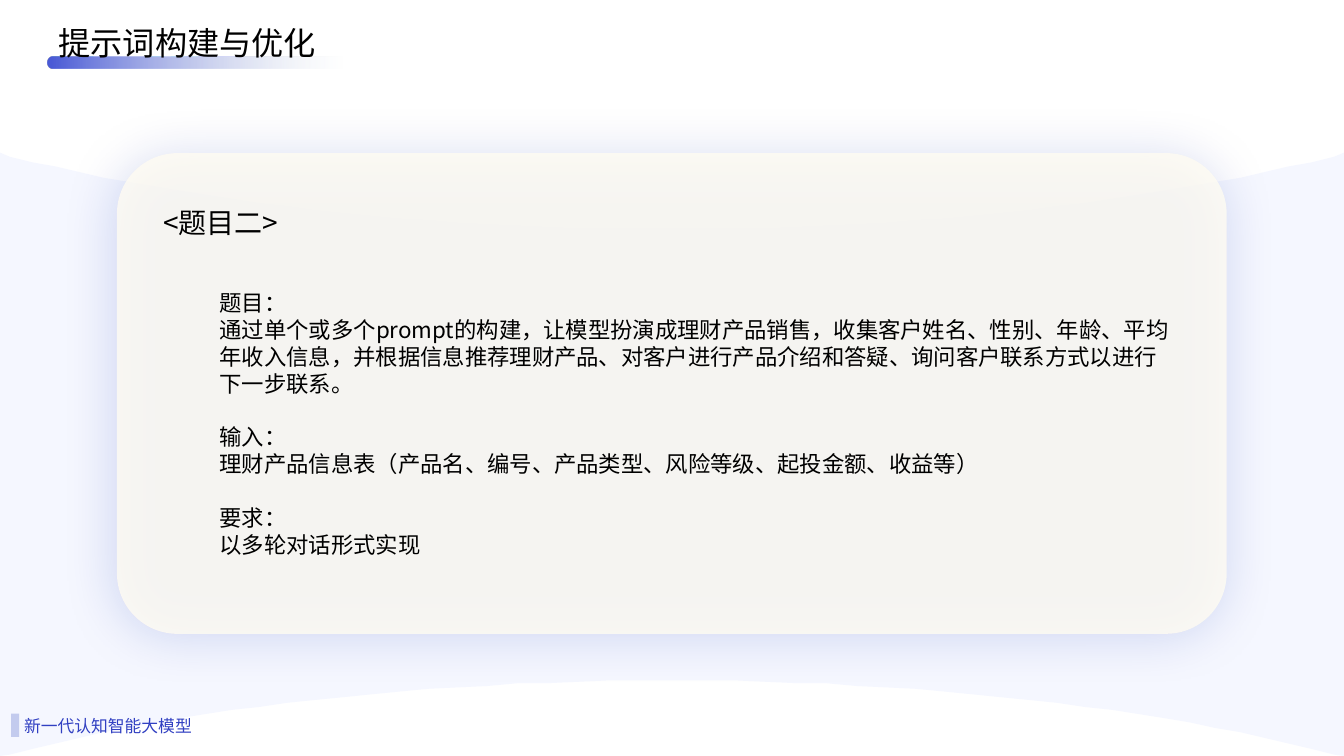
from dataclasses import dataclass

from lxml.etree import SubElement
from pptx import Presentation
from pptx.dml.color import RGBColor
from pptx.enum.shapes import MSO_SHAPE as Shp
from pptx.enum.text import MSO_ANCHOR as Anchor, PP_ALIGN as Align
from pptx.oxml.ns import qn
from pptx.util import Pt

FONT = "Noto Sans CJK SC"
COLORS = {
    "text": "000000", "footer": "3140C2", "tab": "C3CBEE", "wave": "F5F7FF",
    "card": "FFFCF2", "shadow": "0425AA", "bar": "4B5BD7", "fade": "CAD5E2",
}


@dataclass
class Label:
    text: str
    left: float
    top: float
    width: float
    height: float
    size: float
    color: str = "text"


@dataclass
class Section:
    heading: str
    body: str


LABELS = [
    Label("<题目二>", 109.4, 142.6, 641.5, 31.7, 20),
    Label("新一代认知智能大模型", 10.1, 506.2, 139.7, 24.5, 12, "footer"),
]
SECTIONS = [
    Section("题目：", "通过单个或多个prompt的构建，让模型扮演成理财产品销售，收集客户姓名、性别、"
            "年龄、平均年收入信息，并根据信息推荐理财产品、对客户进行产品介绍和答疑、"
            "询问客户联系方式以进行下一步联系。"),
    Section("输入：", "理财产品信息表（产品名、编号、产品类型、风险等级、起投金额、收益等）"),
    Section("要求：", "以多轮对话形式实现"),
]


def rgb(name: str) -> RGBColor:
    return RGBColor.from_string(COLORS[name])


def set_alpha(clr, percent: int) -> None:
    SubElement(clr, qn("a:alpha"), val=str(percent * 1000))


def write(p, text: str, size: float, color: str = "text", spacing=None, before: float = 0) -> None:
    p.alignment = Align.LEFT
    p.space_before = Pt(before)
    if spacing:
        p.line_spacing = spacing
    r = p.add_run()
    r.text = text
    r.font.size = Pt(size)
    r.font.name = FONT
    r.font.color.rgb = rgb(color)
    SubElement(r._r.get_or_add_rPr(), qn("a:ea"), typeface=FONT)


def place(s, left: float, top: float, width: float, height: float, anchor=Anchor.MIDDLE):
    s.left, s.top, s.width, s.height = Pt(left), Pt(top), Pt(width), Pt(height)
    tf = s.text_frame
    tf.word_wrap = True
    tf.vertical_anchor = anchor
    tf.margin_left = tf.margin_right = Pt(7.2)
    tf.margin_top = tf.margin_bottom = Pt(3.6)
    return tf


def paint(s, color: str):
    s.shadow.inherit = False
    s.line.fill.background()
    s.fill.solid()
    s.fill.fore_color.rgb = rgb(color)
    return s


def add_box(slide, kind, left: float, top: float, width: float, height: float, color: str):
    return paint(slide.shapes.add_shape(kind, Pt(left), Pt(top), Pt(width), Pt(height)), color)


def quad(a, b, c, d, steps: int = 24) -> list:
    points = []
    for i in range(1, steps + 1):
        t = i / steps
        u = 1 - t
        points.append(tuple(u**3 * w + 3 * u * u * t * x + 3 * u * t * t * y + t**3 * z
                            for w, x, y, z in zip(a, b, c, d)))
    return points


def arc(edge: float, shoulder: float, control: float, crest: float) -> list:
    half = quad((7.2, shoulder), (136.1, control), (300.2, crest), (480, crest))
    left = [(0, edge), (7.2, shoulder)] + half
    return left + [(960 - x, y) for x, y in reversed(left[:-1])]


def add_wave(slide) -> None:
    upper = arc(109.4, 111.6, 144, 163.4)
    lower = arc(540, 538.6, 505.4, 486)
    points = upper + lower[::-1]
    fb = slide.shapes.build_freeform(*points[0], scale=float(Pt(1)))
    fb.add_line_segments(points[1:], close=True)
    paint(fb.convert_to_shape(), "wave")


def add_card(slide) -> None:
    s = add_box(slide, Shp.ROUNDED_RECTANGLE, 83.5, 109.4, 792.7, 343.4, "card")
    s.adjustments[0] = 0.126
    sp = s._element.spPr
    set_alpha(sp.find(f"{qn('a:solidFill')}/{qn('a:srgbClr')}"), 80)
    shadow = SubElement(sp.find(qn("a:effectLst")), qn("a:outerShdw"), blurRad=str(Pt(38.6)),
                        dist=str(Pt(3)), dir=str(120 * 60000), algn="ctr", rotWithShape="0")
    set_alpha(SubElement(shadow, qn("a:srgbClr"), val=COLORS["shadow"]), 20)


def add_title_bar(slide) -> None:
    s = add_box(slide, Shp.ROUNDED_RECTANGLE, 33.8, 40.7, 263.5, 7.9, "bar")
    s.adjustments[0] = 0.5
    s.fill.gradient()
    s.fill.gradient_angle = 0
    for stop, color, position in zip(s.fill.gradient_stops, ("bar", "fade"), (0.01, 0.8)):
        stop.color.rgb = rgb(color)
        stop.position = position
    set_alpha(s._element.spPr.findall(f".//{qn('a:srgbClr')}")[-1], 0)


def add_sections(slide) -> None:
    s = slide.shapes.add_textbox(0, 0, 0, 0)
    tf = place(s, 149.8, 203, 698.4, 221.8, Anchor.TOP)
    for i, section in enumerate(SECTIONS):
        p = tf.add_paragraph() if i else tf.paragraphs[0]
        write(p, section.heading, 16, spacing=Pt(19.2), before=19.2 if i else 0)
        write(tf.add_paragraph(), section.body, 16, spacing=Pt(19.2))


def main() -> None:
    """Build the prompt-writing exercise slide."""
    prs = Presentation()
    prs.slide_width, prs.slide_height = Pt(960), Pt(540)
    slide = prs.slides.add_slide(prs.slide_layouts[5])
    add_wave(slide)
    add_card(slide)
    add_title_bar(slide)
    title = slide.shapes.title
    tf = place(title, 34.6, 7.2, 208.1, 41)
    write(tf.paragraphs[0], "提示词构建与优化", 23, spacing=1.2)
    slide.shapes._spTree.append(title._element)
    for label in LABELS:
        s = slide.shapes.add_textbox(0, 0, 0, 0)
        tf = place(s, label.left, label.top, label.width, label.height)
        write(tf.paragraphs[0], label.text, label.size, label.color)
    add_sections(slide)
    add_box(slide, Shp.RECTANGLE, 7.9, 509.8, 5.8, 16.6, "tab")
    prs.save("out.pptx")


if __name__ == "__main__":
    main()
